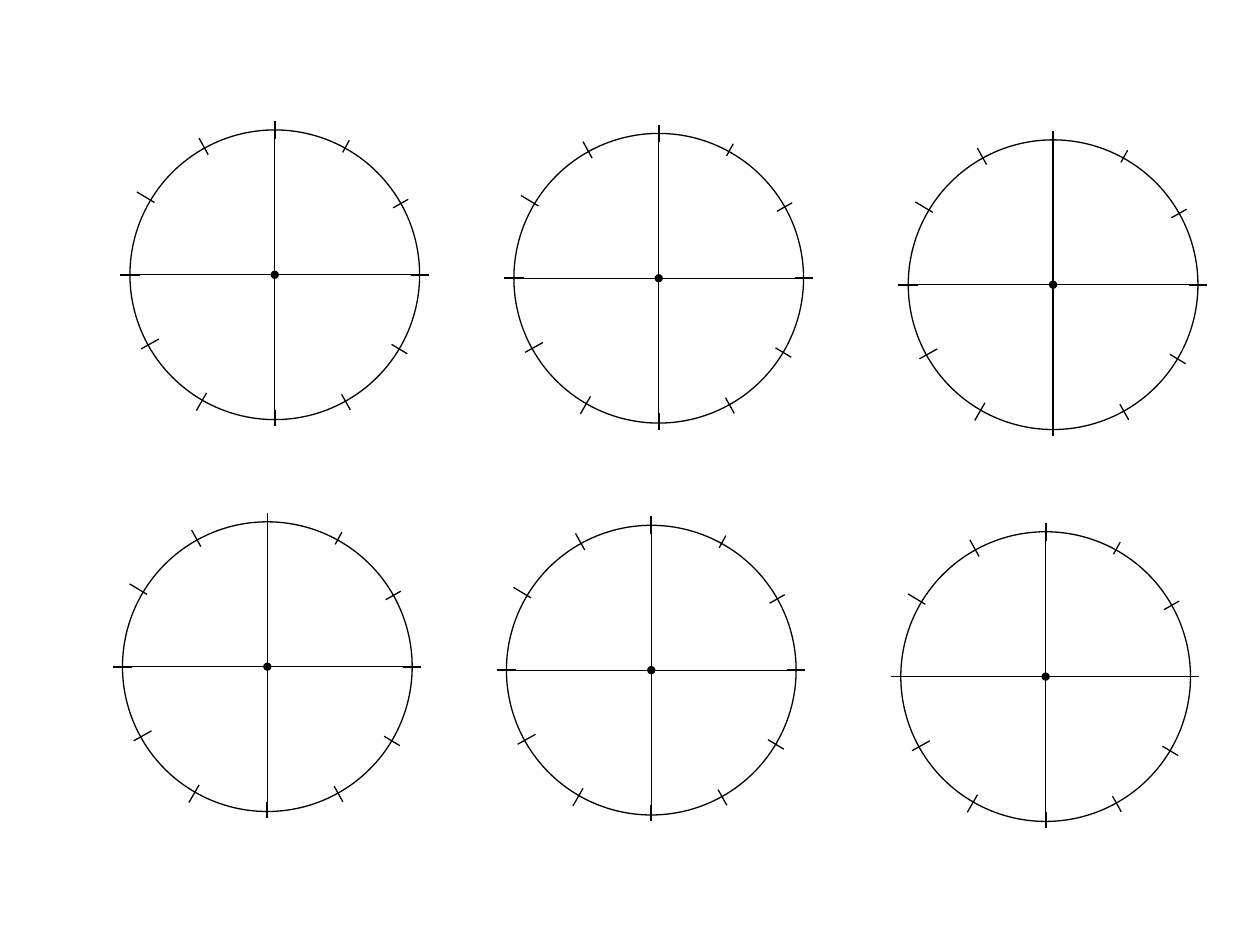
import math

from lxml import etree
from pptx import Presentation
from pptx import util as u
from pptx.dml.color import RGBColor
from pptx.enum import shapes
from pptx.oxml import ns

INK = "000000"
RADIUS = 2.92
DOT_RADIUS = 0.07
COLUMNS = [(5.54, 5.54), (13.28, 5.61), (21.23, 5.74)]
ROWS = [(0, 0), (-0.15, 7.9)]
AXES = [((-RADIUS, 0), (RADIUS, 0)), ((0, -2.95), (0, 2.96))]
TICKS = [
    (0, 2.74, 3.1), (29.5, 2.74, 3.09), (61, 2.82, 3.1),
    (90, 2.74, 3.1), (119, 2.77, 3.15), (149, 2.83, 3.24),
    (180, 2.72, 3.12), (209, 2.67, 3.08), (240, 2.75, 3.16),
    (270, 2.72, 3.05), (299.2, 2.76, 3.12), (329.2, 2.74, 3.11),
]


def color(value):
    return RGBColor.from_string(value)


def polar(angle, radius):
    a = math.radians(angle)
    return radius * math.cos(a), -radius * math.sin(a)


class Dials:
    """Draws clock-like dials, each grouped around its own centre."""

    thin = {"width": u.Pt(0.75)}
    bold = {"width": u.Pt(1)}

    def __init__(self, slide):
        self.s = slide

    def outline(self, sp, style):
        sp.line.color.rgb = color(INK)
        for name, value in style.items():
            setattr(sp.line, name, value)

    def circle(self, group, center, radius, fill=None):
        x, y = center
        box = (x - radius, y - radius, 2 * radius, 2 * radius)
        sp = group.shapes.add_shape(shapes.MSO_SHAPE.OVAL, *map(u.Cm, box))
        sp.shadow.inherit = False
        if fill:
            sp.fill.solid()
            sp.fill.fore_color.rgb = color(fill)
        else:
            sp.fill.background()
        self.outline(sp, self.thin)

    def line(self, group, center, start, end, style):
        ends = [u.Cm(c + d) for point in (start, end) for c, d in zip(center, point)]
        sp = group.shapes.add_connector(shapes.MSO_CONNECTOR.STRAIGHT, *ends)
        self.outline(sp, style)
        etree.SubElement(sp._element.spPr, ns.qn("a:effectLst"))

    def dial(self, center):
        group = self.s.shapes.add_group_shape()
        self.circle(group, center, RADIUS)
        for start, end in AXES:
            self.line(group, center, start, end, self.thin)
        for angle, inner, outer in TICKS:
            style = self.thin if angle % 90 else self.bold
            self.line(group, center, polar(angle, inner), polar(angle, outer), style)
        self.circle(group, center, DOT_RADIUS, INK)


def main():
    prs = Presentation()
    prs.slide_width, prs.slide_height = u.Cm(25.4), u.Cm(19.05)
    dials = Dials(prs.slides.add_slide(prs.slide_layouts[6]))
    for dx, dy in ROWS:
        for x, y in COLUMNS:
            dials.dial((x + dx, y + dy))
    prs.save("out.pptx")


if __name__ == "__main__":
    main()
